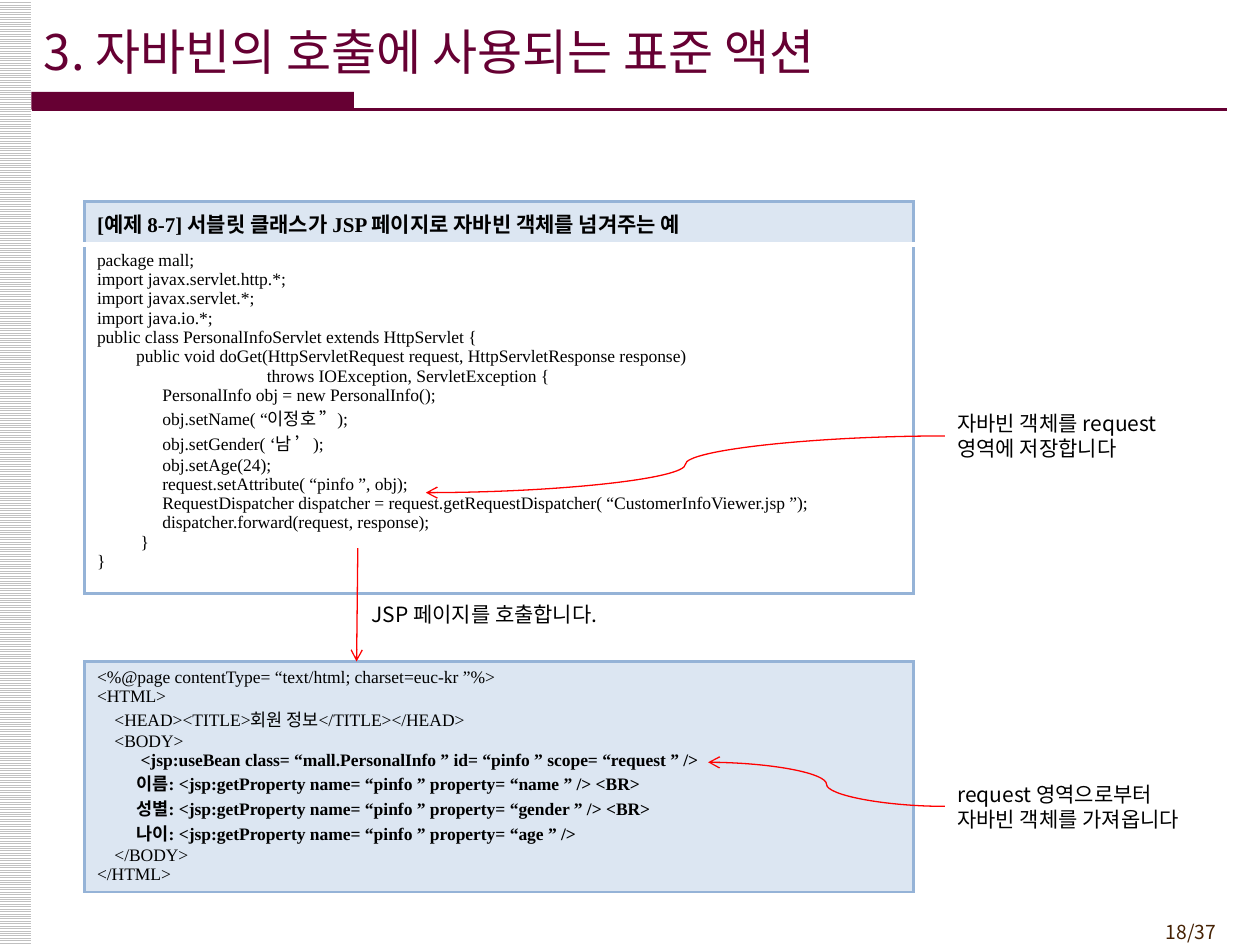
from dataclasses import dataclass

from lxml.etree import SubElement
from pptx import Presentation
from pptx.dml.color import RGBColor
from pptx.enum.dml import MSO_PATTERN
from pptx.enum.shapes import MSO_CONNECTOR, MSO_SHAPE
from pptx.enum.text import MSO_ANCHOR, PP_ALIGN
from pptx.oxml.ns import qn
from pptx.util import Emu, Pt

EMU_PER_PX = 9144
SANS, SERIF = "Noto Sans CJK KR", "Times New Roman"
PLUM, RED, BLACK, WHITE = "660033", "FF0000", "000000", "FFFFFF"
BLUE, PALE_BLUE, BROWN, GREY = "95B3D7", "DCE6F2", "452103", "C0C0C0"


@dataclass
class Label:
    left: int
    top: int
    width: int
    height: int
    text: str
    size: int = 12
    color: str = BLACK
    align: PP_ALIGN = PP_ALIGN.LEFT


@dataclass
class Arrow:
    start: tuple[int, int]
    end: tuple[int, int]
    kind: MSO_CONNECTOR = MSO_CONNECTOR.CURVE
    color: str = RED
    width: float = 0.75
    has_head: bool = True


@dataclass
class CodeCell:
    height: int
    text: str
    fill: str
    size: int = 10
    heading: bool = False


@dataclass
class CodeTable:
    top: int
    cells: list[CodeCell]


SERVLET_CODE = """package mall;
import javax.servlet.http.*;
import javax.servlet.*;
import java.io.*;
public class PersonalInfoServlet extends HttpServlet {
         public void doGet(HttpServletRequest request, HttpServletResponse response)
                                       throws IOException, ServletException {
               PersonalInfo obj = new PersonalInfo();
               obj.setName( “이정호 ”);
               obj.setGender( ‘남 ’);
               obj.setAge(24);
               request.setAttribute( “pinfo ”, obj);
               RequestDispatcher dispatcher = request.getRequestDispatcher( “CustomerInfoViewer.jsp ”);
               dispatcher.forward(request, response);
          }
}"""

JSP_CODE = """<%@page contentType= “text/html; charset=euc-kr ”%>
<HTML>
    <HEAD><TITLE>회원 정보</TITLE></HEAD>
    <BODY>
          <jsp:useBean class= “mall.PersonalInfo ” id= “pinfo ” scope= “request ” />
          이름: <jsp:getProperty name= “pinfo ” property= “name ” /> <BR>
          성별: <jsp:getProperty name= “pinfo ” property= “gender ” /> <BR>
          나이: <jsp:getProperty name= “pinfo ” property= “age ” />
    </BODY>
</HTML>"""

HEADINGS = [
    Label(892, 725, 83, 29, "18/37", 11, BROWN, PP_ALIGN.RIGHT),
    Label(25, 9, 925, 63, "3. 자바빈의 호출에 사용되는 표준 액션", 28, PLUM),
]
TABLES = [
    CodeTable(160, [
        CodeCell(34, "[예제 8-7] 서블릿 클래스가 JSP 페이지로 자바빈 객체를 넘겨주는 예", PALE_BLUE, 12, True),
        CodeCell(264, SERVLET_CODE, WHITE),
    ]),
    CodeTable(525, [CodeCell(183, JSP_CODE, PALE_BLUE)]),
]
NOTES = [
    Label(285, 475, 200, 25, "JSP 페이지를 호출합니다."),
    Label(750, 325, 208, 42, "자바빈 객체를 request\n영역에 저장합니다"),
    Label(750, 619, 208, 42, "request 영역으로부터\n자바빈 객체를 가져옵니다"),
]
ARROWS = [
    Arrow((284, 435), (283, 525), MSO_CONNECTOR.STRAIGHT),
    Arrow((750, 346), (338, 391)),
    Arrow((750, 640), (562, 605)),
]


def px(value: int) -> Emu:
    return Emu(value * EMU_PER_PX)


def rgb(value: str) -> RGBColor:
    return RGBColor.from_string(value)


def style_span(span, size: int, color: str, font: str, bold: bool = False) -> None:
    span.font.size = Pt(size)
    span.font.bold = bold
    span.font.color.rgb = rgb(color)
    span.font.name = font
    SubElement(span.font._element, qn("a:ea"), typeface=SANS)


def add_rectangle(page, left: int, top: int, width: int, height: int):
    box = page.shapes.add_shape(MSO_SHAPE.RECTANGLE, px(left), px(top), px(width), px(height))
    box.shadow.inherit = False
    box.line.fill.background()
    return box


def add_bar(page, left: int, top: int, width: int, height: int, color: str) -> None:
    bar = add_rectangle(page, left, top, width, height)
    bar.fill.solid()
    bar.fill.fore_color.rgb = rgb(color)


def add_stripes(page) -> None:
    stripes = add_rectangle(page, 0, 0, 25, 750)
    stripes.fill.patterned()
    stripes.fill.pattern = MSO_PATTERN.LIGHT_HORIZONTAL
    stripes.fill.fore_color.rgb = rgb(GREY)
    stripes.fill.back_color.rgb = rgb(WHITE)


def add_label(page, label: Label) -> None:
    box = page.shapes.add_textbox(px(label.left), px(label.top), px(label.width), px(label.height))
    frame = box.text_frame
    frame.word_wrap = True
    frame.vertical_anchor = MSO_ANCHOR.MIDDLE
    frame.text = label.text
    for para in frame.paragraphs:
        para.alignment = label.align
        for span in para.runs:
            style_span(span, label.size, label.color, SANS)


def add_arrow(page, arrow: Arrow) -> None:
    connector = page.shapes.add_connector(arrow.kind, *map(px, arrow.start + arrow.end))
    connector.line.color.rgb = rgb(arrow.color)
    connector.line.width = Pt(arrow.width)
    if arrow.has_head:
        SubElement(connector.line._get_or_add_ln(), qn("a:tailEnd"), type="arrow")
    SubElement(connector._element.spPr, qn("a:effectLst"))


def add_border(cell, side: str, color: str, width: float) -> None:
    properties = cell._tc.get_or_add_tcPr()
    line = SubElement(properties, qn(f"a:ln{side}"), w=str(Pt(width)))
    SubElement(SubElement(line, qn("a:solidFill")), qn("a:srgbClr"), val=color)


def add_code_table(page, code: CodeTable) -> None:
    height = sum(item.height for item in code.cells)
    table = page.shapes.add_table(
        len(code.cells), 1, px(67), px(code.top), px(658), px(height)).table
    table.first_row = table.horz_banding = False
    last = len(code.cells) - 1
    for index, item in enumerate(code.cells):
        table.rows[index].height = px(item.height)
        cell = table.cell(index, 0)
        inner_sides = {"T": index > 0, "B": index < last}
        for side in "LRTB":
            inner = inner_sides.get(side, False)
            add_border(cell, side, WHITE if inner else BLUE, 3 if inner else 1.5)
        cell.fill.solid()
        cell.fill.fore_color.rgb = rgb(item.fill)
        cell.text_frame.text = item.text
        for para in cell.text_frame.paragraphs:
            for span in para.runs:
                style_span(span, item.size, BLACK, SERIF, item.heading or "<jsp:" in span.text)


def main() -> None:
    deck = Presentation()
    deck.slide_width, deck.slide_height = px(1000), px(750)
    page = deck.slides.add_slide(deck.slide_layouts[6])
    add_stripes(page)
    add_bar(page, 25, 73, 256, 14, PLUM)
    add_arrow(page, Arrow((25, 87), (974, 87), MSO_CONNECTOR.STRAIGHT, PLUM, 1.5, False))
    for label in HEADINGS:
        add_label(page, label)
    for code in TABLES:
        add_code_table(page, code)
    for label in NOTES:
        add_label(page, label)
    for arrow in ARROWS:
        add_arrow(page, arrow)
    deck.save("out.pptx")


if __name__ == "__main__":
    main()
